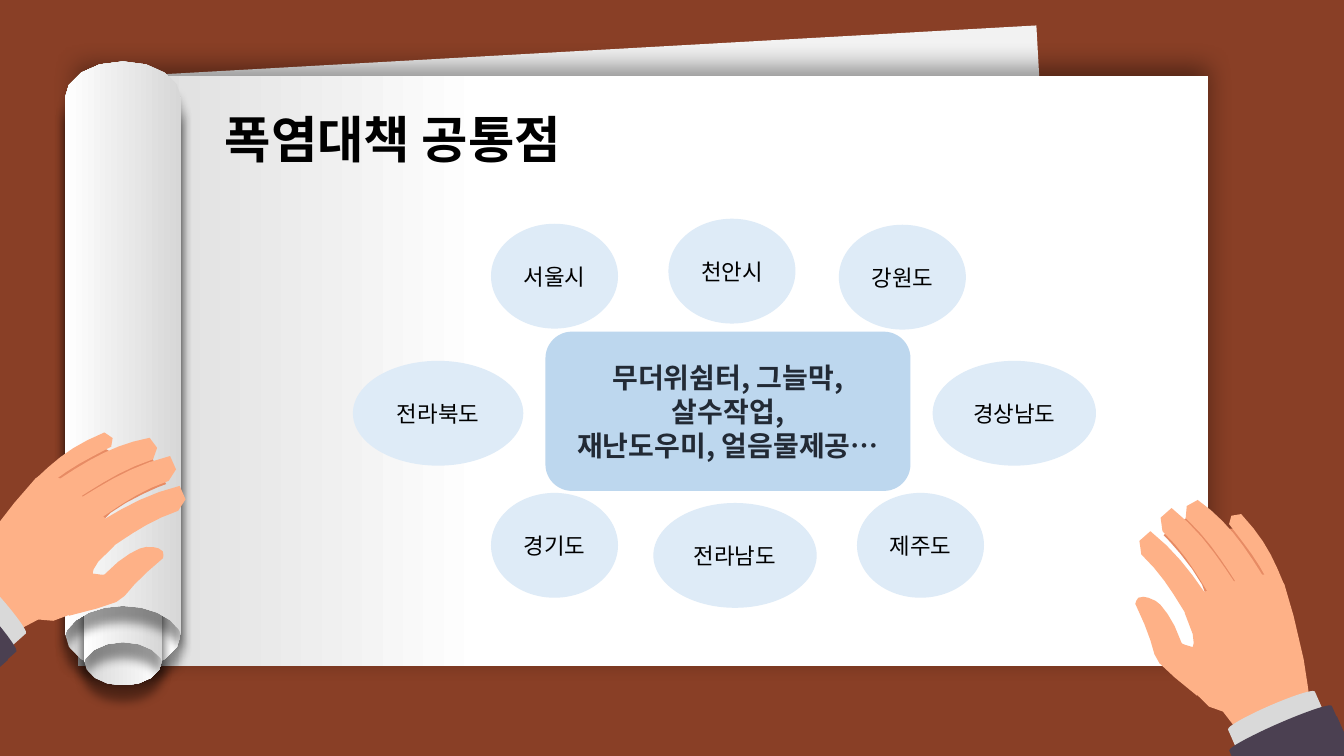
from math import cos, dist, radians, sin, sqrt

from lxml.etree import SubElement
from pptx import Presentation
from pptx.dml.color import RGBColor
from pptx.enum.shapes import MSO_SHAPE
from pptx.enum.text import MSO_ANCHOR, MSO_AUTO_SIZE, PP_ALIGN
from pptx.oxml.ns import qn
from pptx.util import Inches, Pt

FONT = "Noto Sans CJK KR"
SKIN, CREASE, CUFF, SLEEVE = "FEB187", "E78B64", "D9D9D9", "4B4051"
WHITE, GREY = "FFFFFF", "D7D7D7"

presentation = Presentation()
presentation.slide_width, presentation.slide_height = Inches(13.33), Inches(7.5)
slide = presentation.slides.add_slide(presentation.slide_layouts[5])
shapes = slide.shapes
slide.background.fill.solid()
slide.background.fill.fore_color.rgb = RGBColor.from_string("893F26")


def paint(shape, *colours, start=0, angle=180, shadow=None):
    """One colour fills solid, two make a gradient; shadow is (blur, distance, direction)."""
    shape.line.fill.background()
    shape.shadow.inherit = False
    if len(colours) == 1:
        shape.fill.solid()
        shape.fill.fore_color.rgb = RGBColor.from_string(colours[0])
    else:
        shape.fill.gradient()
        shape.fill.gradient_angle = angle
        for stop, colour, position in zip(shape.fill.gradient_stops, colours, (start, 1)):
            stop.color.rgb = RGBColor.from_string(colour)
            stop.position = position
    if shadow:
        blur, distance, direction = shadow
        effects = shape.element.spPr.find(qn("a:effectLst"))
        outer = SubElement(effects, qn("a:outerShdw"), blurRad=str(Pt(blur)), dist=str(Pt(distance)),
                           dir=str(direction * 60000), algn="ctr", rotWithShape="0")
        black = SubElement(outer, qn("a:srgbClr"), val="000000")
        SubElement(black, qn("a:alpha"), val="40000")


def trace(segments, pivot=(0, 0), target=(0, 0), side=1, turn=0):
    """Draw points (x, y) and cubic curves (six numbers), moved from pivot to target,
    mirrored when side is -1 and turned by degrees."""
    points = []
    for segment in segments:
        if len(segment) == 2:
            points.append(segment)
            continue
        controls = (points[-1], segment[:2], segment[2:4], segment[4:])
        steps = max(1, int(6 * sqrt(dist(controls[0], controls[3]))))
        for step in range(1, steps + 1):
            t = step / steps
            weights = ((1 - t) ** 3, 3 * t * (1 - t) ** 2, 3 * t * t * (1 - t), t ** 3)
            points.append(tuple(sum(w * c[axis] for w, c in zip(weights, controls)) for axis in (0, 1)))
    cosine, sine = cos(radians(turn)), sin(radians(turn))
    placed = []
    for x, y in points:
        across, down = side * (x - pivot[0]), y - pivot[1]
        placed.append((Inches(target[0] + across * cosine - down * sine),
                       Inches(target[1] + across * sine + down * cosine)))
    builder = shapes.build_freeform(*placed[0])
    builder.add_line_segments(placed[1:], close=True)
    return builder.convert_to_shape()


# Sheets of paper
back_sheet = shapes.add_shape(MSO_SHAPE.RECTANGLE, Inches(1.43), Inches(0.5), Inches(9.02), Inches(5.86))
back_sheet.rotation = 356.8
paint(back_sheet, "F2F2F2")
front_sheet = shapes.add_shape(MSO_SHAPE.RECTANGLE, Inches(0.77), Inches(0.75), Inches(11.21), Inches(5.86))
paint(front_sheet, WHITE, GREY, start=0.64, shadow=(18, 6, 270))

# Hands: outlines of the right one, mirrored and turned for the left one
first_finger = [(11.62, 5.04), (11.91, 5.27, 12.08, 5.53, 12.26, 5.8), (12.02, 5.94),
                (11.87, 5.7, 11.76, 5.49, 11.53, 5.27), (11.5, 5.22, 11.48, 5.04, 11.62, 5.04)]
second_finger = [(11.88, 4.96), (12.16, 5.16, 12.32, 5.38, 12.53, 5.72), (12.3, 5.84),
                 (12.15, 5.61, 12, 5.36, 11.76, 5.14), (11.74, 5.09, 11.77, 4.93, 11.88, 4.96)]
third_finger = [tuple(value + (0.23 if index % 2 else -0.21) for index, value in enumerate(segment))
                for segment in first_finger]
little_finger = [(12.31, 5.1), (12.54, 5.35, 12.62, 5.51, 12.74, 5.81), (12.58, 5.77),
                 (12.45, 5.53, 12.39, 5.46, 12.19, 5.2), (12.17, 5.16, 12.23, 5.05, 12.31, 5.1)]
creases = [(12.61, 5.7), (12.29, 5.24), (12.14, 5.25), (11.91, 5.2), (11.78, 5.13), (11.71, 5.18),
           (11.54, 5.31), (11.59, 5.35, 11.95, 5.75, 11.97, 5.93), (12.29, 5.96), (12.54, 5.89), (12.6, 5.76)]
thumb = [(11.87, 6.9), (11.65, 6.72), (11.5, 6.58), (11.45, 6.49), (11.41, 6.35), (11.35, 6.19),
         (11.26, 5.99), (11.27, 5.96), (11.29, 5.93), (11.34, 5.92), (11.39, 5.93), (11.46, 5.96),
         (11.51, 6), (11.58, 6.09), (11.65, 6.21), (11.72, 6.38), (11.94, 6.53)]
palm = [(11.87, 6.89), (11.99, 7.01), (12.13, 7.06), (12.23, 7.19), (12.26, 7.26), (12.43, 7.25),
        (12.62, 7.17), (12.83, 7.06), (12.99, 6.95), (12.97, 6.8), (12.93, 6.54), (12.83, 6.11),
        (12.74, 5.8), (12.67, 5.69), (12.54, 5.7), (12.38, 5.7), (12.24, 5.77), (12.08, 5.82),
        (11.95, 5.87), (11.89, 5.92), (11.8, 6.01), (11.75, 6.08), (11.83, 6.29), (11.84, 6.38),
        (11.83, 6.42), (11.73, 6.39), (11.65, 6.45), (11.76, 6.73)]
hand_parts = [(creases, CREASE), (first_finger, SKIN), (second_finger, SKIN), (third_finger, SKIN),
              (little_finger, SKIN), (thumb, SKIN), (palm, SKIN)]
sleeve_parts = [(MSO_SHAPE.FLOWCHART_STORED_DATA, 0.3, 0.94, CUFF, 66.4),
                (MSO_SHAPE.FLOWCHART_STORED_DATA, 0.3, 1.11, SLEEVE, 66.4),
                (MSO_SHAPE.RECTANGLE, 1.11, 0.66, SLEEVE, 336.2)]
right_palm, left_palm = (12.32, 6.48), (0.45, 5.54)
hands = [(right_palm, 1, 0, [(12.5, 6.67), (12.59, 6.76), (12.33, 7.3)]),
         (left_palm, -1, 24.7, [(-0.28, 5.53), (-0.43, 5.56), (-1.09, 6.02)])]
# The roll lies between the two hands: scale, rounded edge, opposite lip, direction
roll_parts = [(1, 6.65, 0.95, -1), (0.67, 6.8, 2.98, -1), (0.67, 2.75, 6.57, 1), (1, 0.61, 6.31, 1)]
middle = 1.22

for target, side, turn, corners in hands:
    if side == -1:
        for scale, edge, lip, direction in roll_parts:
            half, rise = 0.58 * scale, scale * direction
            roll = trace([
                (middle, edge),
                (middle + 0.57 * half, edge, middle + half, edge + 0.17 * rise, middle + half, edge + 0.38 * rise),
                (middle + half, lip), (middle + 0.96 * half, lip - 0.06 * rise),
                (middle + 0.81 * half, lip - 0.2 * rise, middle + 0.43 * half, lip - 0.3 * rise,
                 middle, lip - 0.3 * rise),
                (middle - 0.43 * half, lip - 0.3 * rise, middle - 0.81 * half, lip - 0.2 * rise,
                 middle - 0.96 * half, lip - 0.06 * rise),
                (middle - half, lip), (middle - half, edge + 0.38 * rise),
                (middle - half, edge + 0.17 * rise, middle - 0.57 * half, edge, middle, edge)])
            paint(roll, GREY, WHITE, angle=180 if direction == 1 else 0, shadow=(7, 11, 90))
    for outline, colour in hand_parts:
        paint(trace(outline, right_palm, target, side, turn), colour)
    for (kind, width, height, colour, angle), (left, top) in zip(sleeve_parts, corners):
        part = shapes.add_shape(kind, Inches(left), Inches(top), Inches(width), Inches(height))
        part.rotation = (side * angle + turn) % 360
        if side == -1:
            part.element.spPr.xfrm.set("flipH", "1")
        paint(part, colour)

# Shared measures in the middle, title and regions around them
measures = shapes.add_shape(MSO_SHAPE.ROUNDED_RECTANGLE, Inches(5.41), Inches(3.29), Inches(3.62), Inches(1.58))
paint(measures, "BDD7EE")
measures.text_frame.text = "무더위쉼터, 그늘막, 살수작업,\n재난도우미, 얼음물제공…"

title = shapes.title
shapes.element.append(title.element)
title.left, title.top, title.width, title.height = Inches(2.13), Inches(1.02), Inches(9.9), Inches(0.71)
title.text_frame.text = "폭염대책 공통점"
title.text_frame.auto_size = MSO_AUTO_SIZE.NONE
title.text_frame.vertical_anchor = MSO_ANCHOR.TOP

styled = [(measures, 20, True, "222A35", PP_ALIGN.CENTER), (title, 36, True, "000000", PP_ALIGN.LEFT)]
regions = [("서울시", 4.87, 2.22, 1.26), ("강원도", 8.32, 2.23, 1.26), ("전라북도", 3.5, 3.58, 1.69),
           ("경상남도", 9.25, 3.58, 1.62), ("천안시", 6.63, 2.17, 1.26), ("경기도", 4.87, 4.89, 1.26),
           ("제주도", 8.5, 4.89, 1.26), ("전라남도", 6.48, 4.99, 1.62)]
for name, left, top, width in regions:
    region = shapes.add_shape(MSO_SHAPE.OVAL, Inches(left), Inches(top), Inches(width), Inches(1.04))
    paint(region, "DEEBF7")
    region.text_frame.text = name
    styled.append((region, 16, False, "000000", PP_ALIGN.CENTER))

for shape, size, bold, colour, alignment in styled:
    for paragraph in shape.text_frame.paragraphs:
        paragraph.alignment = alignment
        font = paragraph.font
        font.size, font.bold, font.name = Pt(size), bold, FONT
        font.color.rgb = RGBColor.from_string(colour)
    for latin in list(shape.element.iter(qn("a:latin"))):
        SubElement(latin.getparent(), qn("a:ea"), typeface=FONT)

presentation.save("out.pptx")
